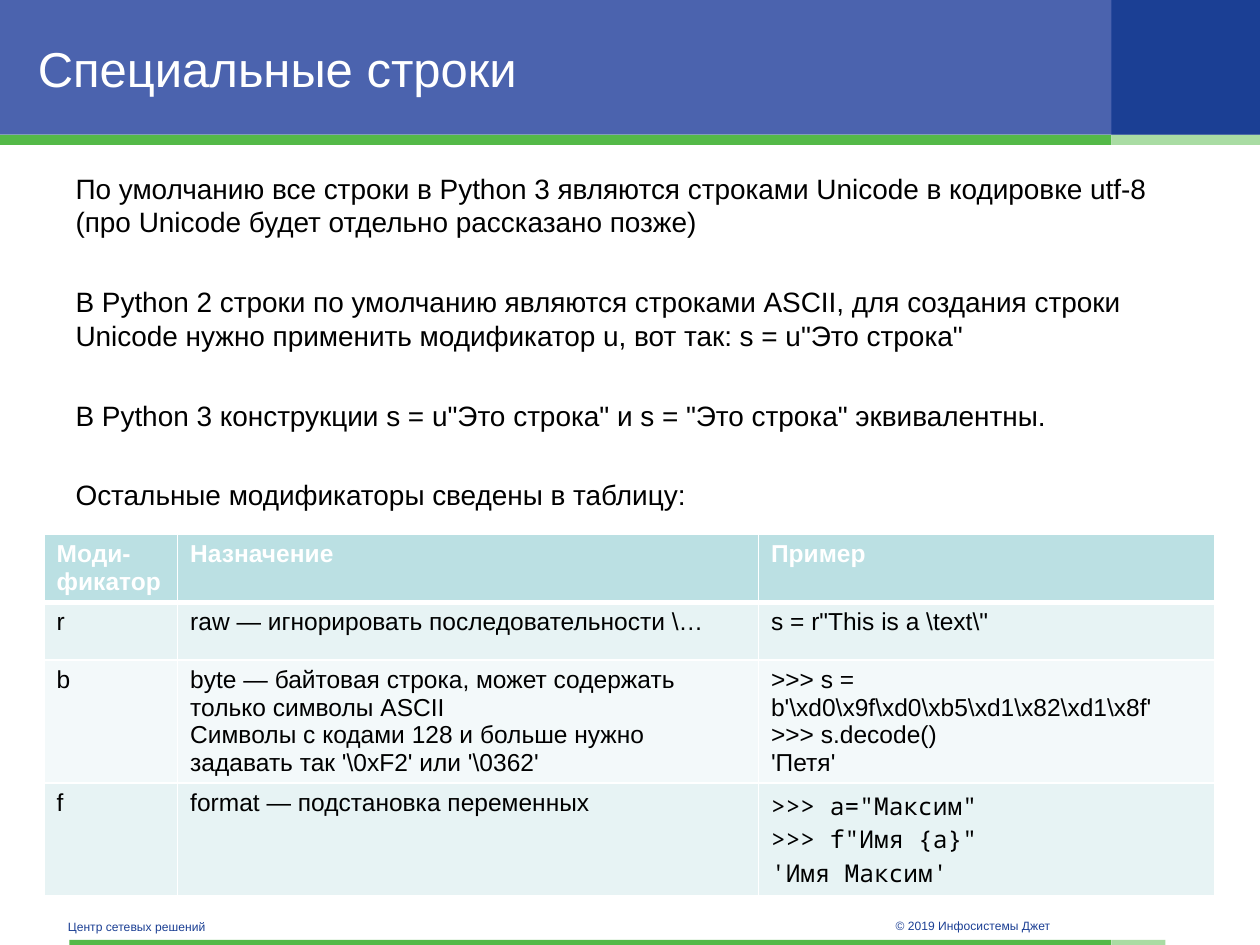
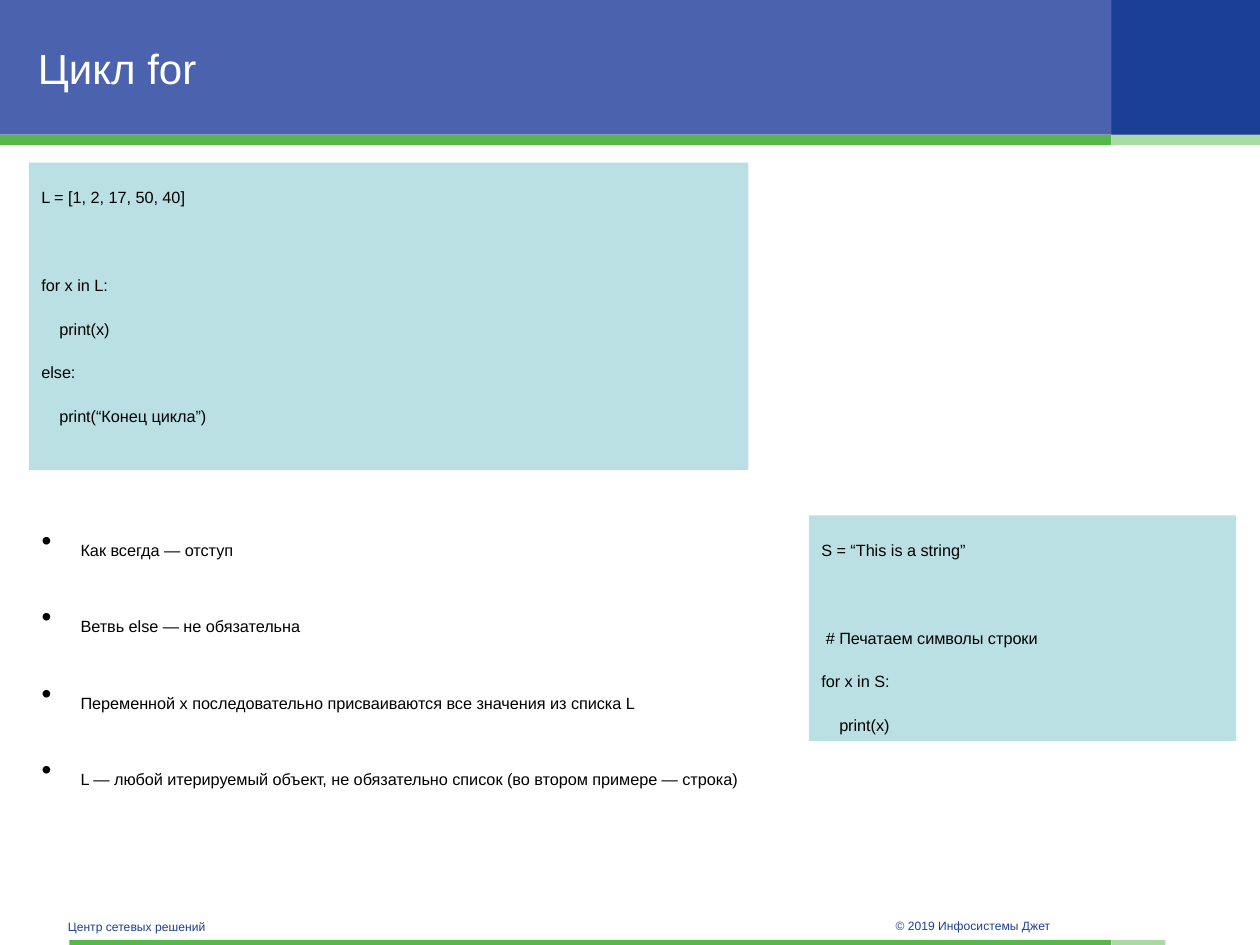
from lxml import etree
from pptx import Presentation
from pptx.dml.color import RGBColor
from pptx.enum.shapes import MSO_SHAPE
from pptx.enum.text import MSO_ANCHOR, MSO_AUTO_SIZE, PP_ALIGN
from pptx.oxml.ns import qn
from pptx.util import Inches, Pt

RECT = MSO_SHAPE.RECTANGLE
TOP, MIDDLE = MSO_ANCHOR.TOP, MSO_ANCHOR.MIDDLE
FIXED = MSO_AUTO_SIZE.NONE
LEFT = PP_ALIGN.LEFT

SANS, MONO = "Arial", "Noto Sans Mono"
BLACK, WHITE = "000000", "FFFFFF"
NAVY, BLUE = "1B3F94", "4B63AE"
GREEN, MINT = "54B948", "A9DCA3"
TEAL, PALE, FAINT = "BBE0E3", "E7F3F4", "F3F9FA"
SPLIT = 8.82  # where the bands change colour

BANDS = [
    ((0, 0, 10, 1.07), BLUE),
    ((SPLIT, 0, 10 - SPLIT, 1.07), NAVY),
    ((0, 1.07, SPLIT, 0.08), GREEN),
    ((SPLIT, 1.07, 10 - SPLIT, 0.08), MINT),
    ((0.55, 7.46, SPLIT - 0.55, 0.04), GREEN),
    ((SPLIT, 7.46, 0.43, 0.04), MINT),
]
FOOTERS = [
    ((7.01, 7.19, 2.36, 0.2), "© 2019 Инфосистемы Джет"),
    ((0.44, 7.18, 3.3, 0.23), "Центр сетевых решений"),
]


def block(slide, box, color):
    """Add a filled rectangle without outline or shadow."""
    shape = slide.shapes.add_shape(RECT, *map(Inches, box))
    shape.shadow.inherit = False
    shape.fill.solid()
    shape.fill.fore_color.rgb = RGBColor.from_string(color)
    shape.line.fill.background()
    return shape


def write(frame, lines, size, color=BLACK, anchor=TOP, font=SANS, bold=False, low=False):
    """Fill a frame with (text, space before) pairs; low sets them as subscript."""
    frame.word_wrap = True
    frame.vertical_anchor = anchor
    for i, (text, gap) in enumerate(lines):
        para = frame.paragraphs[0] if i == 0 else frame.add_paragraph()
        para.alignment = LEFT
        para.space_before = Pt(gap)
        run = para.add_run()
        run.text = text
        run.font.name = font
        run.font.size = Pt(size)
        run.font.bold = bold
        run.font.color.rgb = RGBColor.from_string(color)
        if low:
            run._r.get_or_add_rPr().set("baseline", "-25000")


prs = Presentation()
prs.slide_width, prs.slide_height = Inches(10), Inches(7.5)

PAGES = [
    ("Специальные строки", 28, (0.5, 1.31, 9, 3.7)),
    ("Цикл for", 24, (0.23, 4.09, 6.5, 2.52)),
]
slides, bodies = [], []
for name, size, box in PAGES:
    slide = prs.slides.add_slide(prs.slide_layouts[1])
    title, body = slide.placeholders
    for area, color in BANDS:
        block(slide, area, color)
    for area, text in FOOTERS:
        foot = slide.shapes.add_textbox(*map(Inches, area))
        write(foot.text_frame, [(text, 0)], 12, NAVY, MIDDLE, low=True)
    for holder, area in ((title, (0.2, 0.14, 8.43, 0.79)), (body, box)):
        holder.left, holder.top, holder.width, holder.height = map(Inches, area)
        holder.text_frame.auto_size = FIXED
        slide.shapes._spTree.append(holder._element)  # above the bands
    write(title.text_frame, [(name, 0)], size, WHITE, MIDDLE)
    slides.append(slide)
    bodies.append(body.text_frame)

# Slide 1: paragraphs and table
GAP = 26.4
write(bodies[0], [
    ("По умолчанию все строки в Python 3 являются строками Unicode в кодировке utf-8 "
     "(про Unicode будет отдельно рассказано позже)", 0),
    ("В Python 2 строки по умолчанию являются строками ASCII, для создания строки "
     "Unicode нужно применить модификатор u, вот так: s = u\"Это строка\"", GAP),
    ("В Python 3 конструкции s = u\"Это строка\" и s = \"Это строка\" эквивалентны.", GAP),
    ("Остальные модификаторы сведены в таблицу:", GAP),
], 16)

ROWS = [
    (["Моди-фикатор"], ["Назначение"], ["Пример"]),
    (["r"], ["raw — игнорировать последовательности \\…"], ["s = r\"This is a \\text\\\""]),
    (["b"],
     ["byte — байтовая строка, может содержать только символы ASCII",
      "Символы с кодами 128 и больше нужно задавать так '\\0xF2' или '\\0362'"],
     [">>> s = b'\\xd0\\x9f\\xd0\\xb5\\xd1\\x82\\xd1\\x8f'", ">>> s.decode()", "'Петя'"]),
    (["f"], ["format — подстановка переменных"],
     [">>> a=\"Максим\"", ">>> f\"Имя {a}\"", "'Имя Максим'"]),
]
FILLS = [TEAL, PALE, FAINT, PALE]
HEIGHTS = [0.54, 0.46, 0.97, 0.89]
WIDTHS = [1.06, 4.61, 3.62]

table = slides[0].shapes.add_table(
    len(ROWS), len(WIDTHS), Inches(0.35), Inches(4.24),
    Inches(sum(WIDTHS)), Inches(sum(HEIGHTS))).table
for col, width in zip(table.columns, WIDTHS):
    col.width = Inches(width)
for r, row in enumerate(ROWS):
    table.rows[r].height = Inches(HEIGHTS[r])
    for c, lines in enumerate(row):
        cell = table.cell(r, c)
        head = r == 0
        tint = WHITE if head else BLACK
        font = MONO if (r, c) == (3, 2) else SANS
        write(cell.text_frame, [(line, 0) for line in lines], 14, tint, font=font, bold=head)
        props = cell._tc.get_or_add_tcPr()
        for side in ("lnL", "lnR", "lnT", "lnB"):
            thick = (r, side) in ((0, "lnB"), (1, "lnT"))
            edge = etree.SubElement(props, qn("a:" + side), w=str(Pt(3 if thick else 1)))
            fill = etree.SubElement(edge, qn("a:solidFill"))
            etree.SubElement(fill, qn("a:srgbClr"), val=WHITE)
        cell.fill.solid()
        cell.fill.fore_color.rgb = RGBColor.from_string(FILLS[r])

# Slide 2: code samples and list
STEP, SKIP = 3.2, 28.2  # next line, line after a gap
CODES = [
    ((0.23, 1.29, 5.71, 2.44), [
        ("L = [1, 2, 17, 50, 40]", 0), ("for x in L:", SKIP), ("    print(x)", STEP),
        ("else:", STEP), ("    print(“Конец цикла”)", STEP)]),
    ((6.42, 4.09, 3.39, 1.79), [
        ("S = “This is a string”", 0), (" # Печатаем символы строки", SKIP),
        ("for x in S:", STEP), ("    print(x)", STEP)]),
]
for box, lines in CODES:
    write(block(slides[1], box, TEAL).text_frame, lines, 16, low=True)

POINTS = [
    "Как всегда — отступ",
    "Ветвь else — не обязательна",
    "Переменной x последовательно присваиваются все значения из списка L",
    "L — любой итерируемый объект, не обязательно список (во втором примере — строка)",
]
write(bodies[1], [(text, 21.8 if i else 0) for i, text in enumerate(POINTS)], 16, low=True)

for frame, indent in zip(bodies, (0, 0.31)):
    for para in frame.paragraphs:
        props = para._p.get_or_add_pPr()
        props.set("marL", str(Inches(indent)))
        props.set("indent", str(-Inches(indent)))
        if indent:
            etree.SubElement(props, qn("a:buFont"), typeface=SANS)
            etree.SubElement(props, qn("a:buChar"), char="•")
        else:
            etree.SubElement(props, qn("a:buNone"))

prs.save("out.pptx")
